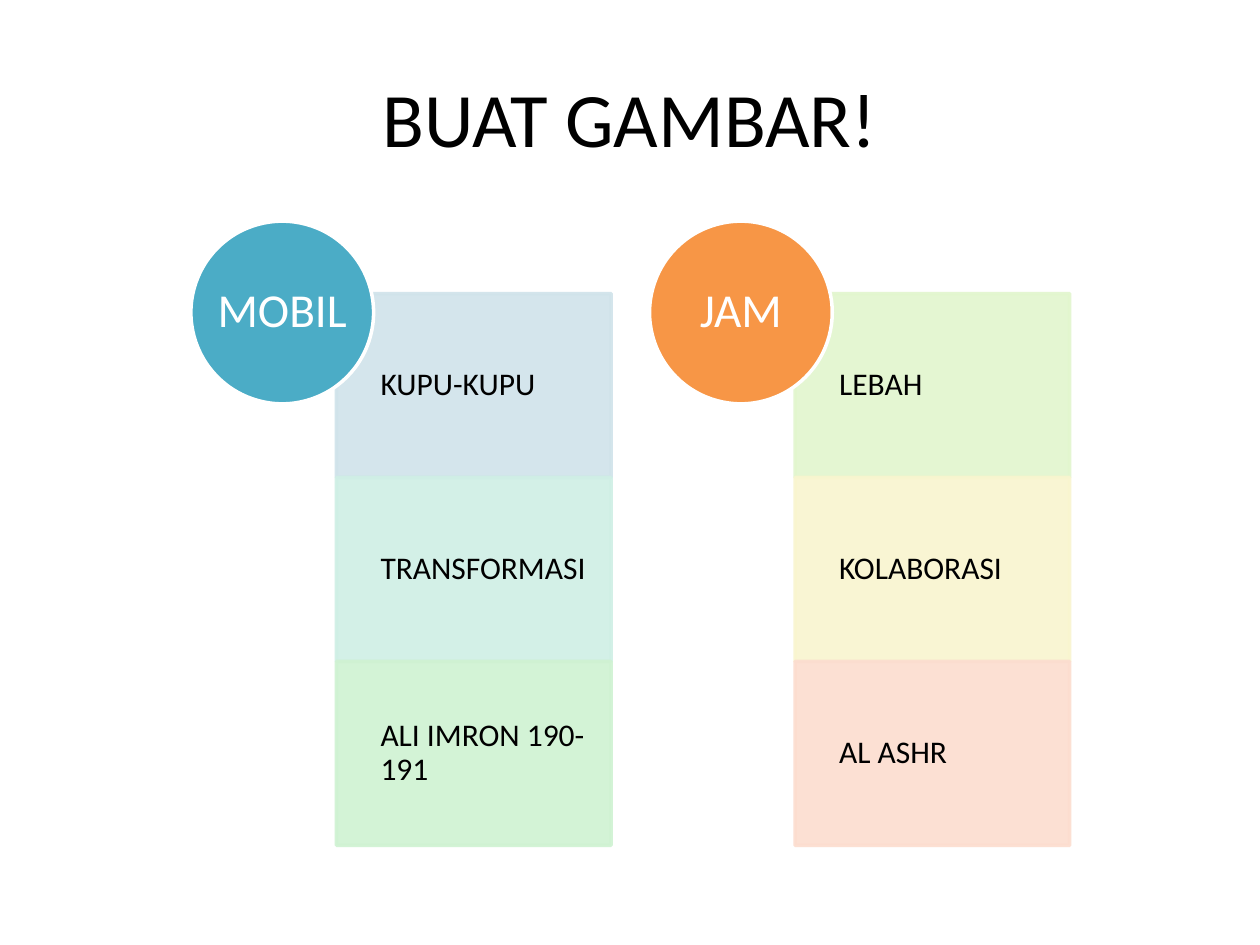
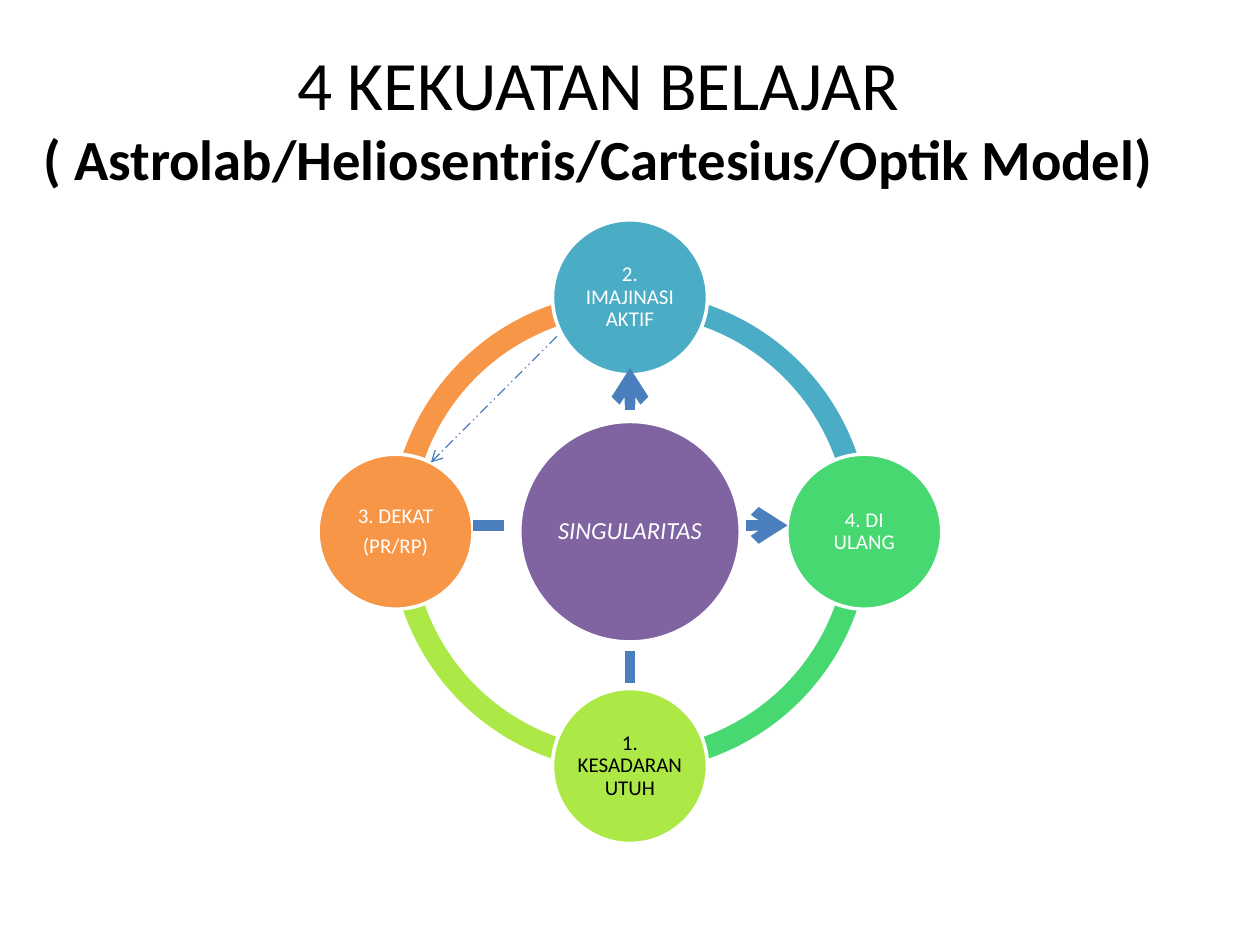
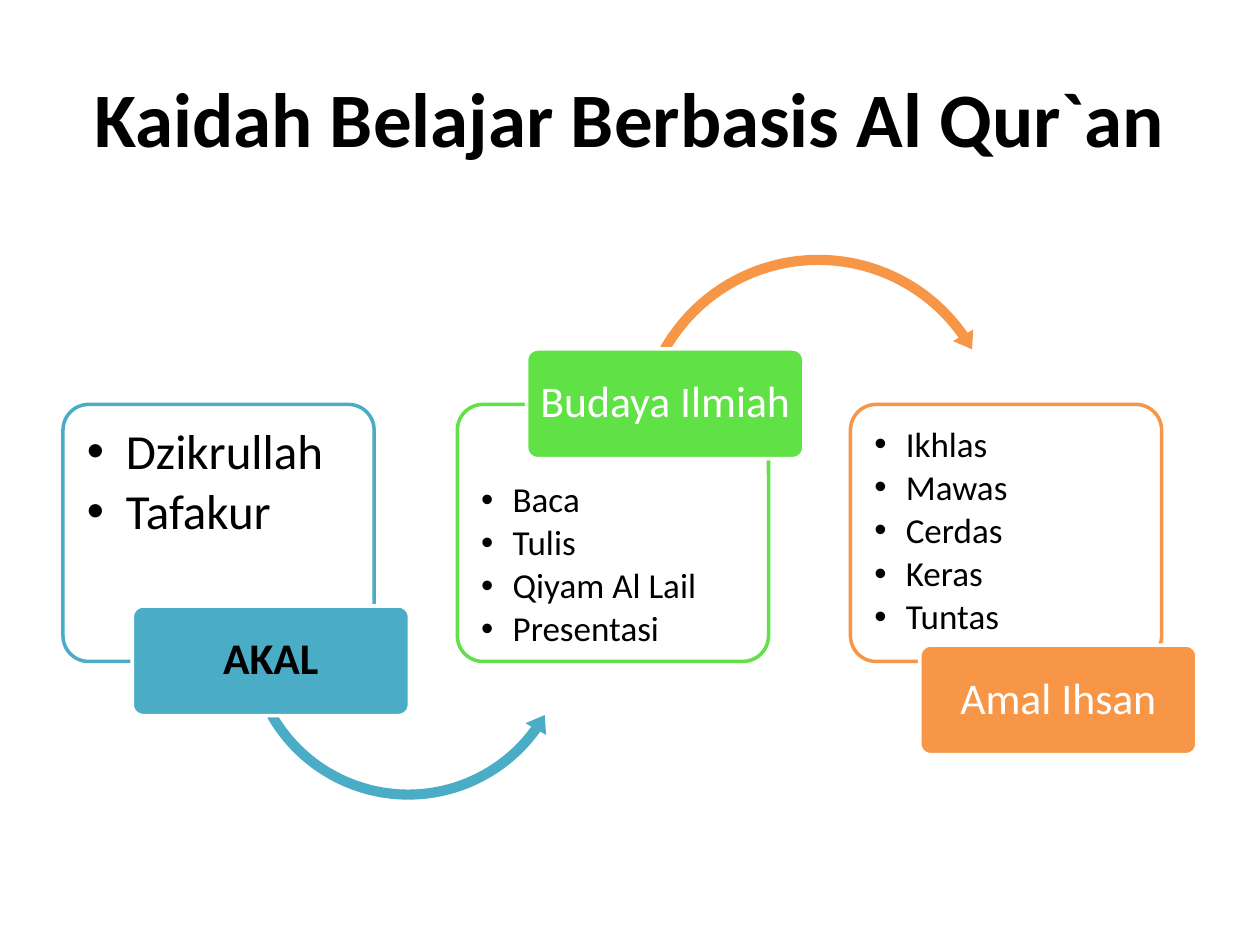
from lxml import etree
from pptx import Presentation
from pptx.dml.color import RGBColor
from pptx.enum.dml import MSO_LINE
from pptx.enum.shapes import MSO_CONNECTOR, MSO_SHAPE
from pptx.enum.text import MSO_ANCHOR, MSO_AUTO_SIZE, PP_ALIGN
from pptx.oxml.ns import qn
from pptx.util import Inches, Pt

RECT, ROUND, OVAL = MSO_SHAPE.RECTANGLE, MSO_SHAPE.ROUNDED_RECTANGLE, MSO_SHAPE.OVAL
ARC = MSO_SHAPE.BLOCK_ARC
ARROW_OVER, ARROW_UNDER = MSO_SHAPE.CIRCULAR_ARROW, MSO_SHAPE.LEFT_CIRCULAR_ARROW
LEFT, CENTER = PP_ALIGN.LEFT, PP_ALIGN.CENTER
TOP, MIDDLE = MSO_ANCHOR.TOP, MSO_ANCHOR.MIDDLE
DASH = MSO_LINE.DASH_DOT_DOT

FONT = "Calibri"
COLORS = {
    "black": "000000", "white": "FFFFFF",
    "teal": "4BACC6", "orange": "F79646", "purple": "8064A2",
    "green": "47D872", "lime": "ACE946", "grass": "60E146", "blue": "4B7EBC",
    "pale blue": "D0E3EA", "pale teal": "CFEFE5", "pale green": "CFF2D2",
    "pale lime": "E2F6CE", "pale yellow": "F9F5CF", "pale red": "FCDDCF",
}


def rgb(name):
    return RGBColor.from_string(COLORS[name])


def set_alpha(fill, percent):
    """Make a solid fill partly see-through."""
    color = fill._xPr.find(qn("a:solidFill"))[0]
    etree.SubElement(color, qn("a:alpha"), val=str(percent * 1000))


def add_bullet(p, indent):
    pPr = p._p.get_or_add_pPr()
    pPr.set("marL", str(Inches(indent)))
    pPr.set("indent", str(-Inches(indent)))
    etree.SubElement(pPr, qn("a:buFont"), typeface="Arial")
    etree.SubElement(pPr, qn("a:buChar"), char="•")


def add_run(p, text, size, color="black", bold=False, italic=False):
    r = p.add_run()
    r.text = text
    font = r.font
    font.name, font.size, font.bold, font.italic = FONT, Pt(size), bold, italic
    font.color.rgb = rgb(color)


def write(sp, lines, size, align=CENTER, anchor=MIDDLE, insets=(0, 0, 0, 0),
          bullet=None, after=0.35, **font):
    """Fill a shape with paragraphs; insets run left, top, right, bottom."""
    tf = sp.text_frame
    tf.word_wrap = True
    tf.vertical_anchor = anchor
    tf.margin_left, tf.margin_top, tf.margin_right, tf.margin_bottom = map(Inches, insets)
    for i, line in enumerate(lines):
        p = tf.add_paragraph() if i else tf.paragraphs[0]
        p.alignment = align
        p.line_spacing = 0.9
        p.space_after = Pt(round(size * after, 1))
        if bullet:
            add_bullet(p, bullet)
        add_run(p, line, size, **font)


class Deck:
    def __init__(self):
        self.prs = Presentation()
        self.prs.slide_width, self.prs.slide_height = Inches(10), Inches(7.5)
        self.slide = None

    def new_slide(self, *lines, left=0.5, width=9):
        """Start a slide; each title line is (text, size, bold)."""
        self.slide = self.prs.slides.add_slide(self.prs.slide_layouts[5])
        sp = self.slide.shapes.title
        sp.left, sp.top, sp.width, sp.height = map(Inches, (left, 0.3, width, 1.25))
        tf = sp.text_frame
        tf.auto_size = MSO_AUTO_SIZE.NONE
        tf.vertical_anchor = MIDDLE
        p = tf.paragraphs[0]
        p.alignment = CENTER
        for i, (text, size, bold) in enumerate(lines):
            if i:
                p.add_line_break()
            add_run(p, text, size, bold=bold)

    def shape(self, kind, x, y, w, h, fill, line=None, alpha=None, adj=()):
        sp = self.slide.shapes.add_shape(kind, *map(Inches, (x, y, w, h)))
        sp.shadow.inherit = False
        sp.fill.solid()
        sp.fill.fore_color.rgb = rgb(fill)
        if line:
            sp.line.color.rgb = rgb(line)
            sp.line.width = Pt(2)
        else:
            sp.line.fill.background()
        if alpha:
            set_alpha(sp.fill, alpha)
        for i, value in enumerate(adj):
            sp.adjustments[i] = value
        return sp

    def circle(self, cx, cy, d, fill, lines, size, inset=0.02, **font):
        sp = self.shape(OVAL, cx - d / 2, cy - d / 2, d, d, fill, "white")
        write(sp, lines, size, insets=(inset,) * 4, **font)

    def label(self, x, y, fill, text, **font):
        sp = self.shape(ROUND, x, y, 2.2, 0.87, fill, "white", adj=[0.1])
        write(sp, [text], 25, insets=(0.05, 0.03, 0.05, 0.03), **font)

    def panel(self, x, line, items, size, indent, top):
        sp = self.shape(ROUND, x, 3.21, 2.47, 2.04, "white", line, alpha=90, adj=[0.1])
        write(sp, items, size, LEFT, TOP, (0.13, top, 0.13, 0.13), indent, after=0.15)

    def line(self, start, end, width=6, arrow=True, dash=None):
        cn = self.slide.shapes.add_connector(
            MSO_CONNECTOR.STRAIGHT, *map(Inches, (*start, *end)))
        cn.line.color.rgb = rgb("blue")
        cn.line.width = Pt(width)
        if dash:
            cn.line.dash_style = dash
        if arrow:
            etree.SubElement(cn.line._get_or_add_ln(), qn("a:tailEnd"), type="arrow")
        etree.SubElement(cn._element.spPr, qn("a:effectLst"))


def build_picture_words(deck):
    deck.new_slide(("BUAT GAMBAR!", 44, False))
    columns = [
        ("MOBIL", "teal", [("KUPU-KUPU", "pale blue"), ("TRANSFORMASI", "pale teal"),
                           ("ALI IMRON 190-191", "pale green")]),
        ("JAM", "orange", [("LEBAH", "pale lime"), ("KOLABORASI", "pale yellow"),
                           ("AL ASHR", "pale red")]),
    ]
    row_h = 1.46
    for col, (heading, color, rows) in enumerate(columns):
        x = 2.67 + col * 3.64
        for row, (text, fill) in enumerate(rows):
            sp = deck.shape(RECT, x, 2.33 + row * row_h, 2.18, row_h, fill, fill, alpha=90)
            set_alpha(sp.line.fill, 90)
            write(sp, [text], 18, LEFT, insets=(0.35, 0.14, 0.14, 0.14))
        deck.circle(x - 0.43, 2.48, 1.45, color, [heading], 27, inset=0, color="white")


def build_learning_powers(deck):
    deck.new_slide(("4 KEKUATAN BELAJAR", 39.6, False),
                   ("( Astrolab/Heliosentris/Cartesius/Optik Model)", 32.4, True),
                   left=0, width=9.5)
    cx, cy, reach, ring = 5, 4.22, 1.86, 3.81
    quarter = 54  # 90 degrees in adjustment units
    for i, color in enumerate(["green", "lime", "orange", "teal"]):
        deck.shape(ARC, cx - ring / 2, cy - ring / 2, ring, ring, color,
                   adj=[i * quarter, (i + 1) % 4 * quarter, 0.046])
    deck.circle(cx, cy, 1.75, "purple", ["SINGULARITAS"], 14, color="white", italic=True)
    powers = [
        (0, -1, "teal", ["2. IMAJINASI AKTIF"], "white"),
        (1, 0, "green", ["4. DI ULANG"], "white"),
        (0, 1, "lime", ["1. KESADARAN UTUH"], "black"),
        (-1, 0, "orange", ["3. DEKAT", "(PR/RP)"], "white"),
    ]
    for dx, dy, fill, lines, color in powers:
        deck.circle(cx + dx * reach, cy + dy * reach, 1.23, fill, lines, 12, color=color)
    deck.line((5, 3.25), (5, 2.92))
    deck.line((4.42, 2.67), (3.42, 3.67), width=0.75, dash=DASH)
    deck.line((3.75, 4.17), (4, 4.17), arrow=False)
    deck.line((5.92, 4.17), (6.25, 4.17))
    deck.line((5, 5.42), (5, 5.17), arrow=False)


def build_learning_rules(deck):
    deck.new_slide(("Kaidah Belajar Berbasis Al Qur`an", 44, True))
    deck.panel(0.5, "teal", ["Dzikrullah", "Tafakur"], 28, 0.31, top=0.12)
    deck.shape(ARROW_UNDER, 1.9, 3.72, 2.68, 2.68, "teal",
               adj=[0.03, 3.637, 21.392, 90.245, 0.035])
    deck.label(1.05, 4.81, "teal", "AKAL", bold=True)
    deck.panel(3.63, "grass", ["Baca", "Tulis", "Qiyam Al Lail", "Presentasi"],
               20, 0.25, top=0.56)
    deck.shape(ARROW_OVER, 5, 1.97, 2.99, 2.99, "orange",
               adj=[0.027, 3.23, 195.015, 125.755, 0.031])
    deck.label(4.18, 2.77, "grass", "Budaya Ilmiah", color="white")
    deck.panel(6.75, "orange", ["Ikhlas", "Mawas", "Cerdas", "Keras", "Tuntas"],
               20, 0.25, top=0.12)
    deck.label(7.3, 5.12, "orange", "Amal Ihsan", color="white")


def main():
    deck = Deck()
    build_picture_words(deck)
    build_learning_powers(deck)
    build_learning_rules(deck)
    deck.prs.save("out.pptx")


if __name__ == "__main__":
    main()
